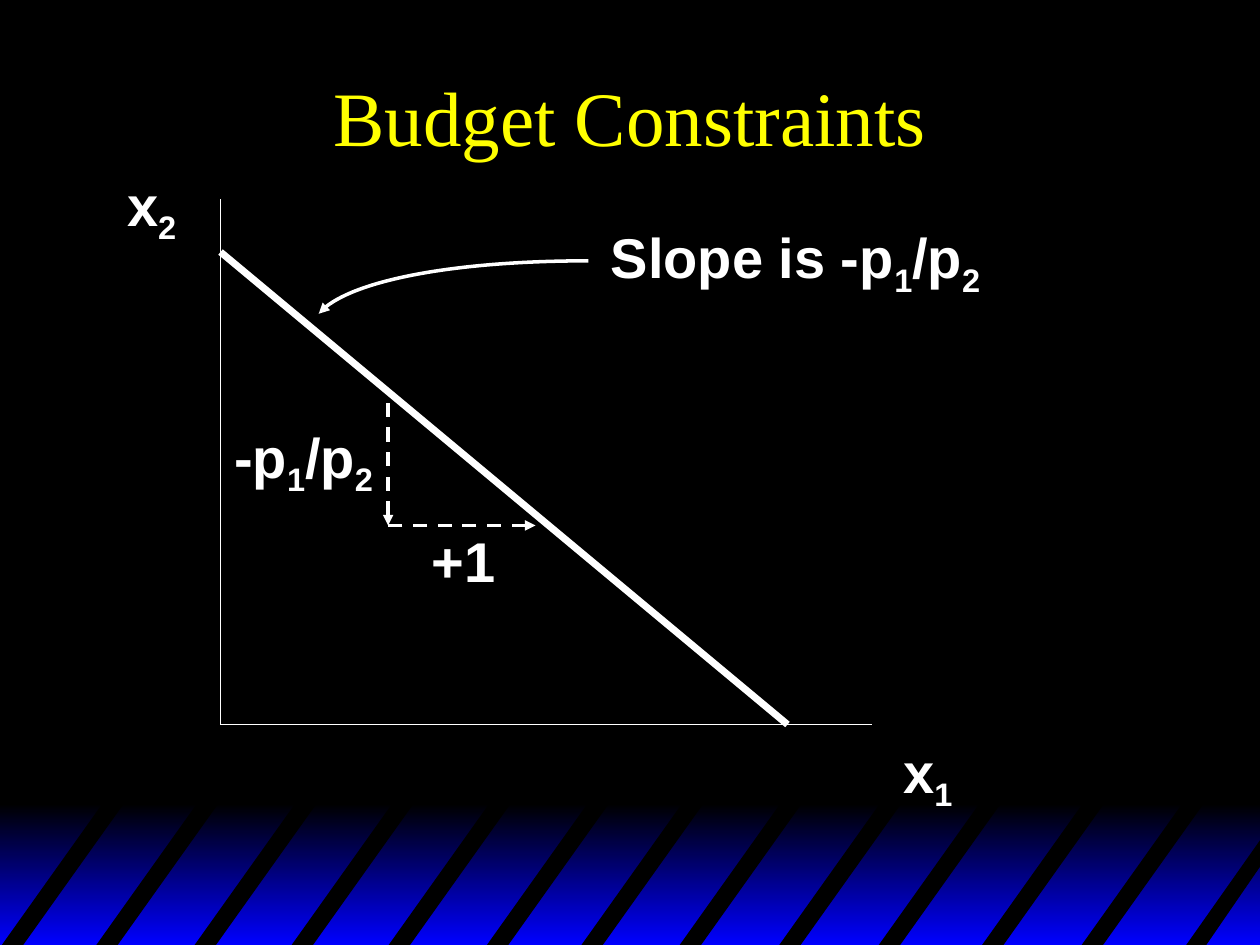
import pptx
import pptx.util
import pptx.dml.color
import pptx.enum.dml
import pptx.enum.shapes
import pptx.enum.text
import pptx.oxml
import pptx.oxml.ns

Inches = pptx.util.Inches
Color = pptx.dml.color.RGBColor.from_string

THEME = {
    "background": Color("000000"),
    "band": Color("0000FF"),
    "line": Color("FFFFFF"),
    "title": {"size": pptx.util.Pt(44), "name": "Times New Roman", "color": Color("FFFF00")},
    "label": {"size": pptx.util.Pt(32), "name": "Arial", "bold": True, "color": Color("FFFFFF")},
}

# Content: text with "_" before each subscript digit, then left, top, width, height
TITLE = ("Budget Constraints", (0.75, 0.25, 8.5, 1.33))
LABELS = [
    ("x_2", (0.91, 1.3, 0.59, 0.71)),
    ("x_1", (7.07, 5.8, 0.59, 0.71)),
    ("Slope is -p_1/p_2", (4.75, 1.72, 3.13, 0.71)),
    ("+1", (3.33, 4.13, 0.71, 0.63)),
    ("-p_1/p_2", (1.76, 3.3, 1.3, 0.71)),
]

# Graph points
ORIGIN, AXIS_TOP, AXIS_RIGHT = (1.75, 5.75), (1.75, 1.58), (6.92, 5.75)
BUDGET_START, BUDGET_END = (1.75, 2), (6.25, 5.75)
STEP_TOP, STEP_CORNER, STEP_RIGHT = (3.08, 3.17), (3.08, 4.17), (4.25, 4.17)
# Start, end, width in points, dashed with an arrowhead at the start
LINES = [
    (AXIS_TOP, ORIGIN, 1, False),
    (ORIGIN, AXIS_RIGHT, 1, False),
    (BUDGET_START, BUDGET_END, 4, False),
    (STEP_RIGHT, STEP_CORNER, 2, True),
    (STEP_CORNER, STEP_TOP, 2, True),
]
SLOPE_CURVE = [(2.53, 2.49), (2.73, 2.24), (3.63, 2.07), (4.67, 2.07)]

# Slanted stripes across the bottom band
STRIPE_LEFTS = [0, 0.75, 1.53, 2.3, 3.07, 3.85, 4.6, 5.38, 6.17, 6.96, 7.78, 8.57]
STRIPE_TOP, STRIPE_BOTTOM, STRIPE_WIDTH, STRIPE_SLANT = 6.34, 7.52, 0.17, 0.84
CUT_STRIPE = [(9.4, 7.52), (10.02, 6.64), (10.02, 6.85), (9.56, 7.52)]


def stripe_points(left):
    top_left = left + STRIPE_SLANT
    return [(left, STRIPE_BOTTOM), (top_left, STRIPE_TOP),
            (top_left + STRIPE_WIDTH, STRIPE_TOP), (left + STRIPE_WIDTH, STRIPE_BOTTOM)]


def add_outline(shapes, points, close):
    points = [(Inches(x), Inches(y)) for x, y in points]
    builder = shapes.build_freeform(*points[0])
    builder.add_line_segments(points[1:], close=close)
    shape = builder.convert_to_shape()
    shape.shadow.inherit = False
    return shape


def format_line(line, width, dashed=False, arrow=False):
    line.color.rgb = THEME["line"]
    line.width = pptx.util.Pt(width)
    if dashed:
        line.dash_style = pptx.enum.dml.MSO_LINE.DASH
    if arrow:
        head = pptx.oxml.parse_xml(
            f'<a:headEnd {pptx.oxml.ns.nsdecls("a")} type="triangle"/>')
        line._get_or_add_ln().append(head)


def add_line(shapes, start, end, width, arrow):
    connector = shapes.add_connector(
        pptx.enum.shapes.MSO_CONNECTOR.STRAIGHT, *map(Inches, start + end))
    format_line(connector.line, width, dashed=arrow, arrow=arrow)
    connector._element.spPr.append(
        pptx.oxml.parse_xml(f'<a:effectLst {pptx.oxml.ns.nsdecls("a")}/>'))


def add_curve(shapes, points):
    shape = add_outline(shapes, points, close=False)
    shape.fill.background()
    # Turn the three segments into one cubic curve
    segments = shape._element.findall(".//" + pptx.oxml.ns.qn("a:lnTo"))
    curve = pptx.oxml.parse_xml(f'<a:cubicBezTo {pptx.oxml.ns.nsdecls("a")}/>')
    segments[0].addprevious(curve)
    for segment in segments:
        curve.append(segment[0])
        segment.getparent().remove(segment)
    format_line(shape.line, 2, arrow=True)


def add_run(paragraph, text, style, subscript=False):
    run = paragraph.add_run()
    run.text = text
    for name, value in style.items():
        if name == "color":
            run.font.color.rgb = value
        else:
            setattr(run.font, name, value)
    if subscript:
        run._r.get_or_add_rPr().set("baseline", "-25000")


def add_text(shapes, text, box, style, frame_format):
    frame = shapes.add_textbox(*map(Inches, box)).text_frame
    for name, value in frame_format.items():
        setattr(frame, name, value)
    paragraph = frame.paragraphs[0]
    first, *parts = text.split("_")
    add_run(paragraph, first, style)
    for part in parts:
        add_run(paragraph, part[0], style, subscript=True)
        if part[1:]:
            add_run(paragraph, part[1:], style)
    return paragraph


def main():
    presentation = pptx.Presentation()
    presentation.slide_width, presentation.slide_height = Inches(10), Inches(7.5)
    slide = presentation.slides.add_slide(presentation.slide_layouts[6])
    slide.background.fill.solid()
    slide.background.fill.fore_color.rgb = THEME["background"]
    shapes = slide.shapes

    # Gradient band
    band = shapes.add_shape(pptx.enum.shapes.MSO_SHAPE.RECTANGLE,
                            *map(Inches, (0, 6.38, 10.02, 1.12)))
    band.shadow.inherit = False
    band.line.fill.background()
    band.fill.gradient()
    band.fill.gradient_angle = 270
    for stop, position, name in zip(band.fill.gradient_stops, (0, 1), ("background", "band")):
        stop.position = position
        stop.color.rgb = THEME[name]

    # Stripes
    for points in [stripe_points(left) for left in STRIPE_LEFTS] + [CUT_STRIPE]:
        stripe = add_outline(shapes, points, close=True)
        stripe.fill.solid()
        stripe.fill.fore_color.rgb = THEME["background"]
        stripe.line.fill.background()

    # Title
    title = add_text(shapes, *TITLE, THEME["title"], {
        "word_wrap": True, "vertical_anchor": pptx.enum.text.MSO_ANCHOR.MIDDLE})
    title.alignment = pptx.enum.text.PP_ALIGN.CENTER

    # Graph
    for line in LINES:
        add_line(shapes, *line)
    add_curve(shapes, SLOPE_CURVE)
    for text, box in LABELS:
        add_text(shapes, text, box, THEME["label"], {
            "word_wrap": False, "auto_size": pptx.enum.text.MSO_AUTO_SIZE.SHAPE_TO_FIT_TEXT})

    presentation.save("out.pptx")


if __name__ == "__main__":
    main()
